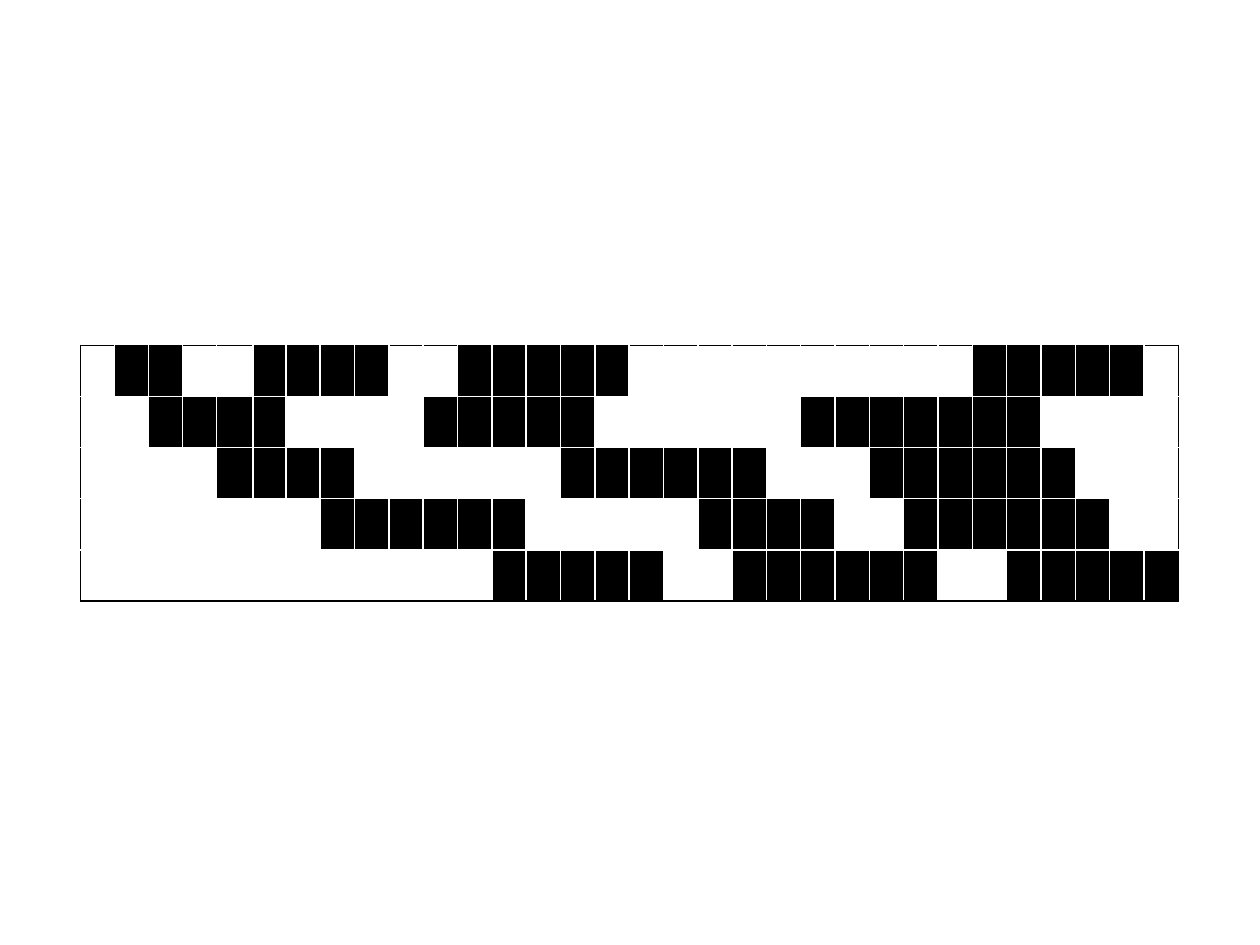
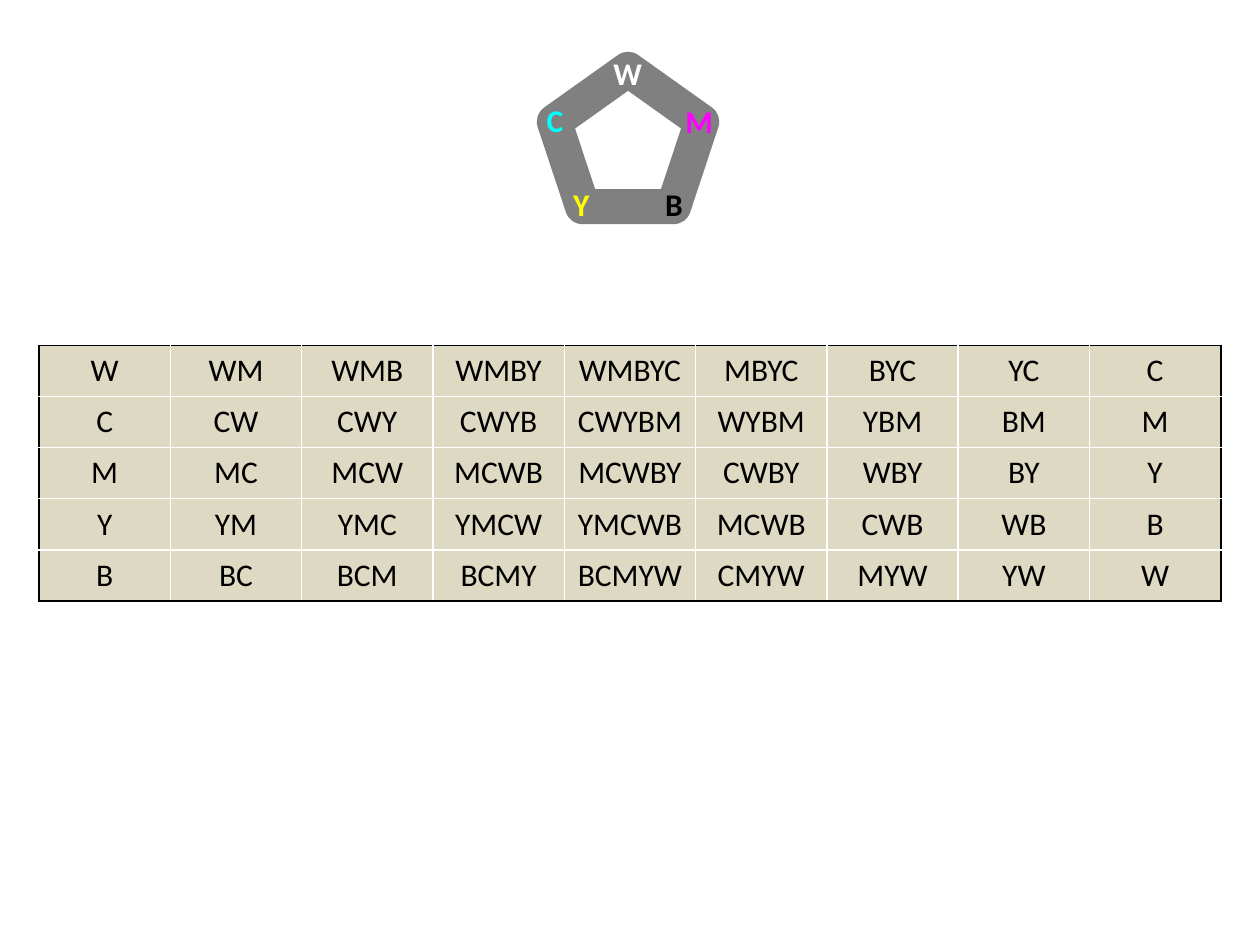
from lxml.etree import SubElement
from pptx import Presentation
from pptx.dml.color import RGBColor
from pptx.enum.shapes import MSO_SHAPE
from pptx.enum.text import MSO_AUTO_SIZE, PP_ALIGN
from pptx.oxml.ns import qn
from pptx.util import Inches, Pt

HUES = {
    "W": "FFFFFF", "M": "FF00FF", "Y": "FFFF00", "C": "00FFFF", "B": "000000",
    "edge": "000000", "grid": "FFFFFF", "sand": "DDD9C3", "ring": "808080",
}
FONT = "Calibri"
SIZE = Pt(18)
TOP, HIGH = 2.74, 2.03


def hue(name):
    return RGBColor.from_string(HUES[name])


def add_grid(slide, left, widths, fills):
    """Add a table with a black frame, white inner lines and the given fills."""
    rows, cols = len(fills), len(widths)
    frame = slide.shapes.add_table(rows, cols, Inches(left), Inches(TOP),
                                   Inches(sum(widths)), Inches(HIGH))
    table = frame.table
    table.first_row = table.horz_banding = False
    for col, width in zip(table.columns, widths):
        col.width = Inches(width)
    for r in range(rows):
        for c in range(cols):
            cell = table.cell(r, c)
            cell.fill.solid()
            cell.fill.fore_color.rgb = hue(fills[r][c])
            outer = {"lnL": c == 0, "lnR": c == cols - 1,
                     "lnT": r == 0, "lnB": r == rows - 1}
            props = cell._tc.get_or_add_tcPr()
            for i, (side, out) in enumerate(outer.items()):
                line = SubElement(props, qn(f"a:{side}"), w=str(Pt(1)))
                paint = SubElement(line, qn("a:solidFill"))
                SubElement(paint, qn("a:srgbClr"),
                           val=HUES["edge" if out else "grid"])
                props.insert(i, line)
    return table


deck = Presentation()
deck.slide_width, deck.slide_height = Inches(10), Inches(7.5)
blank = deck.slide_layouts[6]

# Slide 1: black and white track pattern
tracks = [
    ".##..####..#####..........#####.",
    "..####....#####......#######....",
    "....####......######...######...",
    ".......######.....####..######..",
    "............#####..######..#####",
]
widths = [0.27] * 4 + [0.29, 0.26] + [0.2725] * 26
slide = deck.slides.add_slide(blank)
add_grid(slide, 0.64, widths,
         [["B" if mark == "#" else "W" for mark in track] for track in tracks])

# Slide 2: each row grows a word, then drops its first letters
words = ["WMBYC", "CWYBM", "MCWBY", "YMCWB", "BCMYW"]
slide = deck.slides.add_slide(blank)
table = add_grid(slide, 0.31, [9.38 / 9] * 9, [["sand"] * 9] * 5)
for r, word in enumerate(words):
    steps = [word[:n] for n in range(1, 6)] + [word[n:] for n in range(1, 5)]
    for c, step in enumerate(steps):
        para = table.cell(r, c).text_frame.paragraphs[0]
        para.alignment = PP_ALIGN.CENTER
        run = para.add_run()
        run.text = step
        run.font.name, run.font.size = FONT, SIZE
        run.font.color.rgb = hue("edge")

# Pentagon ring
group = slide.shapes.add_group_shape()
ring = group.shapes.add_shape(MSO_SHAPE.REGULAR_PENTAGON, Inches(4.4),
                              Inches(0.55), Inches(1.17), Inches(1.09))
ring.shadow.inherit = False
ring.fill.background()
ring.line.color.rgb = hue("ring")
ring.line.width = Pt(20)
SubElement(ring.line._get_or_add_ln(), qn("a:round"))

# Letters at the corners
corners = [("W", 4.77, 0.38, 0.47), ("M", 5.34, 0.76, 0.42),
           ("Y", 4.45, 1.42, 0.33), ("C", 4.24, 0.75, 0.34),
           ("B", 5.18, 1.42, 0.34)]
for mark, left, top, width in corners:
    box = group.shapes.add_textbox(Inches(left), Inches(top),
                                   Inches(width), Inches(0.4))
    frame = box.text_frame
    frame.word_wrap = mark == "W"
    frame.auto_size = MSO_AUTO_SIZE.SHAPE_TO_FIT_TEXT
    run = frame.paragraphs[0].add_run()
    run.text = mark
    run.font.name, run.font.size, run.font.bold = FONT, SIZE, True
    run.font.color.rgb = hue(mark)

deck.save("out.pptx")
